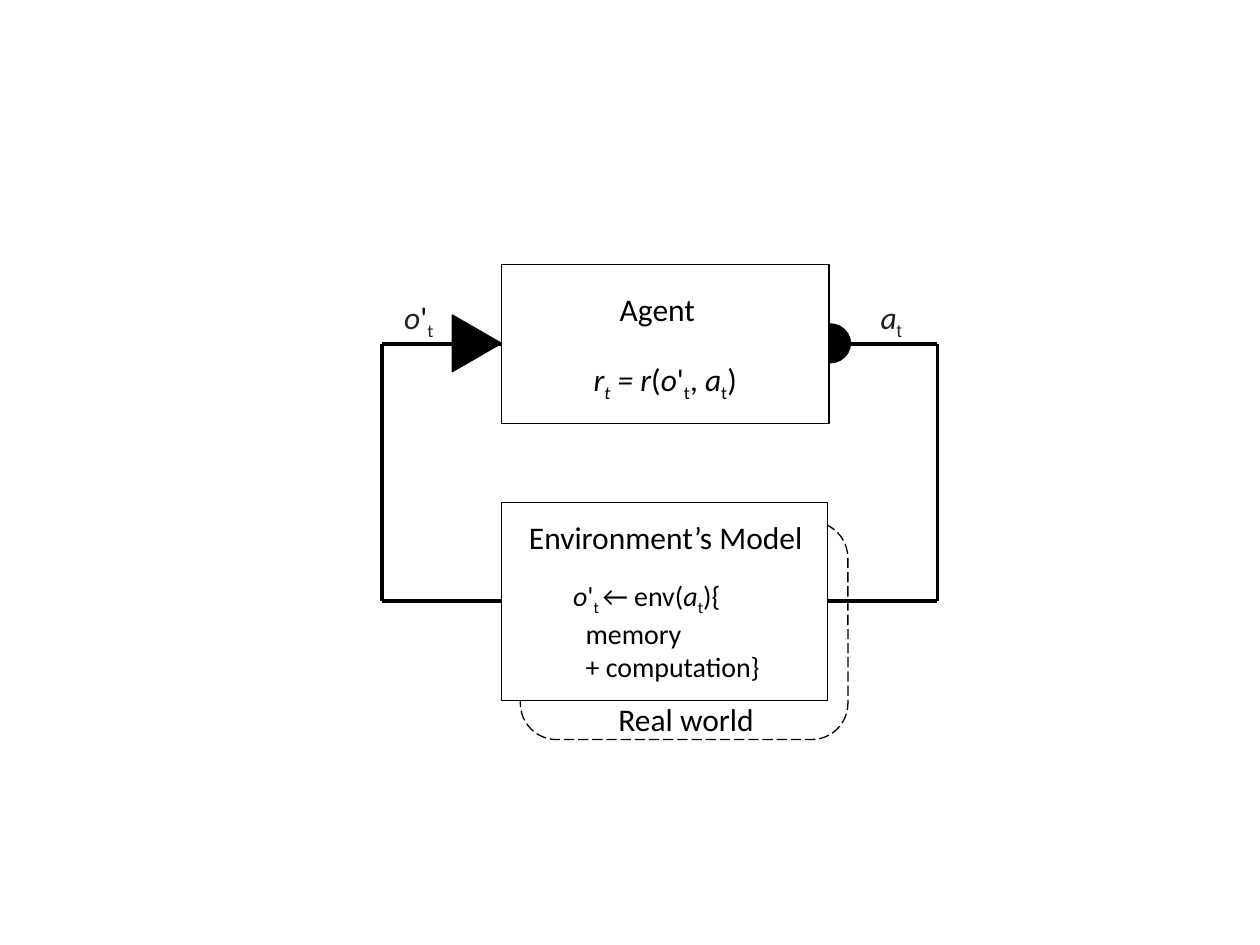
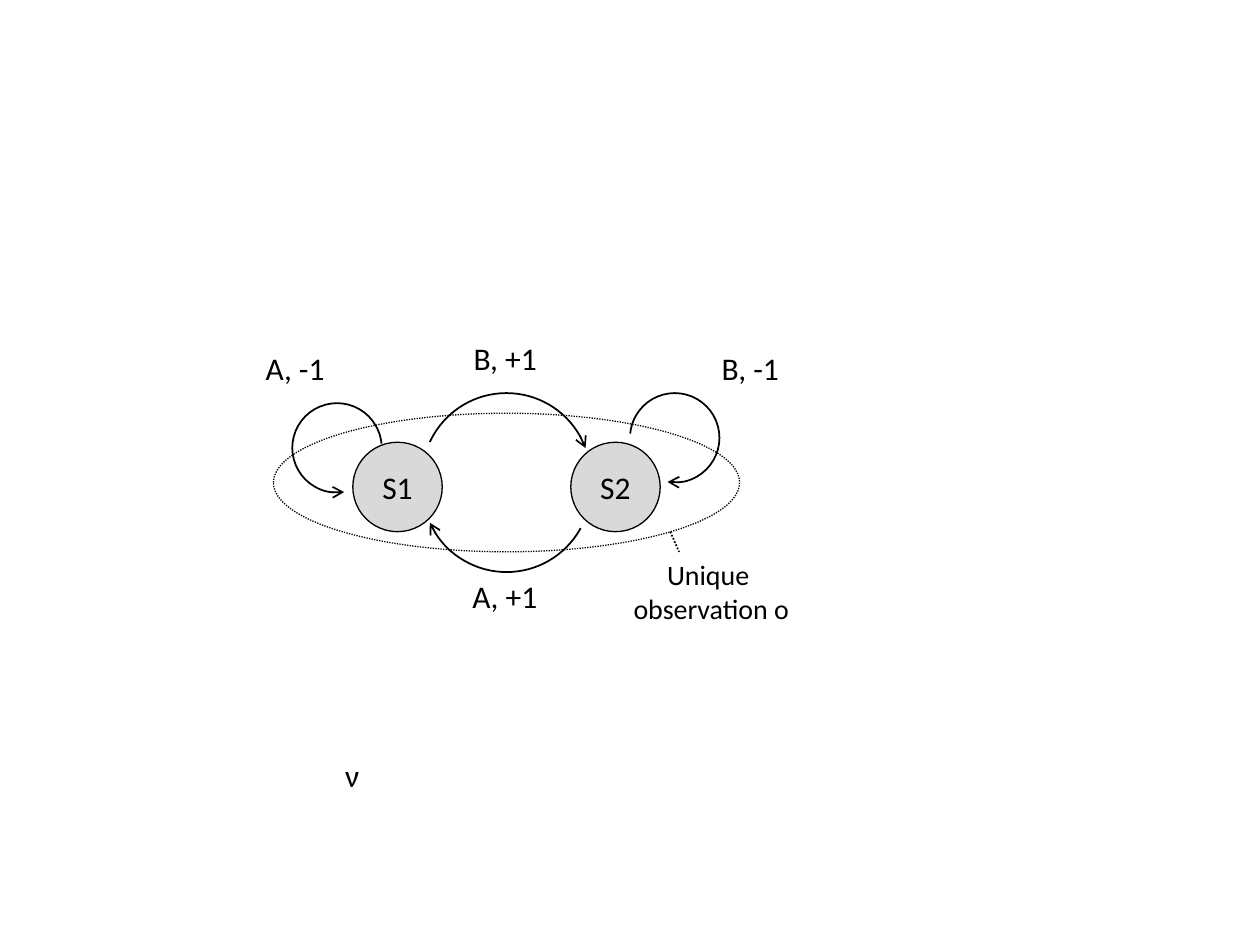
from lxml import etree
from pptx import Presentation
from pptx import util as u
from pptx.dml.color import RGBColor
from pptx.enum import dml, shapes, text
from pptx.oxml.ns import qn

HUES = {"ink": "000000", "soft": "231F20", "paper": "FFFFFF", "state": "D9D9D9"}
FACE = "Calibri"
KIND = shapes.MSO_SHAPE
LONG, DOT = dml.MSO_LINE.LONG_DASH, dml.MSO_LINE.ROUND_DOT
MARKS = {"i": {"italic": True}, "soft": {"hue": "soft"}, "sub": {"base": "-25000"},
         "arial": {"name": "Arial"}}

# Loop between agent and model
LEFT, RIGHT, TOP, LOW = 3.03, 7.44, 2.73, 4.77
BOX, EDGE = 3.98, 6.57
WIRES = [
    (RIGHT, TOP, EDGE, TOP), (EDGE, LOW, RIGHT, LOW), (BOX, TOP, LEFT, TOP),
    (LEFT, LOW, LEFT, TOP), (RIGHT, LOW, RIGHT, TOP), (LEFT, LOW, BOX, LOW),
]
WORLD = [
    (KIND.ROUNDED_RECTANGLE, (4.13, 4.14, 2.6, 1.73), {"fill": "paper", "dash": LONG}),
]
PARTS = [
    (KIND.OVAL, (6.42, 2.57, 0.33, 0.31), {"fill": "ink"}),
    (KIND.RECTANGLE, (BOX, 3.99, 2.59, 1.57), {"fill": "paper"}),
    (KIND.RECTANGLE, (BOX, 2.1, 2.6, 1.26), {"fill": "paper"}),
    (KIND.ISOSCELES_TRIANGLE, (3.56, 2.53, 0.45, 0.39), {"fill": "ink", "turn": 90}),
]
# A label is (place, paragraphs, format); a run is (words, marks)
SIGNALS = [
    ((6.89, 2.32, 0.41, 0.4), [[("a", "i soft"), ("t", "sub soft arial")]], {}),
    ((3.11, 2.32, 0.48, 0.4), [[("o", "i soft"), ("'", ""), ("t", "sub soft")]], {}),
]
REAL = [((4.81, 5.56, 1.29, 0.3), ["Real world"], {"pad": 0})]
NAMES = [
    ((4.1, 4.06, 2.4, 0.4), ["Environment’s Model"], {}),
    ((4.45, 4.54, 1.73, 0.94), [
        [("o", "i"), ("'", ""), ("t ", "sub"), ("← env(", ""), ("a", "i"),
         ("t", "sub"), ("){", "")],
        "memory", "+ computation}"], {"size": 16, "indent": 0.1}),
    ((4.53, 2.81, 1.5, 0.4), [
        [("r", "i"), ("t", "i sub"), (" = r", "i"), ("(", ""), ("o", "i"), ("'", ""),
         ("t", "sub"), (", ", ""), ("a", "i"), ("t", "sub"), (")", "")]],
     {"mid": True, "wrap": True}),
    ((4.82, 2.25, 0.81, 0.4), ["Agent"], {}),
]

# Two states seen as one observation
SIDE, WIDE = 0.71, 1.34
STATES = [("S1", 2.8), ("S2", 4.53)]
ROW = 3.51
ARCS = [  # place, start and end in degrees, format
    ((5, 3.12, SIDE, SIDE), (185.45, 99.2), {}),
    ((2.32, 3.2, SIDE, SIDE), (185.45, 99.2), {"flip": True}),
    ((3.35, 3.12, WIDE, WIDE), (204.79, 339.57), {}),
    ((3.35, 3.2, WIDE, WIDE), (208.68, 335.45), {"turn": 180}),
]
CLOUD = (2.17, 3.28, 3.7, 1.1)
POINTER = (5.32, 4.22, 5.39, 4.38)
MOVES = [
    ((5.63, 2.72, 0.66, 0.4), ["B, -1"], {}),
    ((2.01, 2.72, 0.67, 0.4), ["A, -1"], {}),
    ((3.66, 2.64, 0.71, 0.4), ["B, +1"], {}),
    ((3.65, 4.53, 0.72, 0.4), ["A, +1"], {}),
    ((4.92, 4.38, 1.45, 0.64), ["Unique ", "observation o"], {"size": 16, "mid": True}),
    ((2.64, 5.95, 0.33, 0.4), ["ν"], {}),
]


def inch(place):
    return [u.Inches(n) for n in place]


def tint(name):
    return RGBColor.from_string(HUES[name])


def paint(fill, name):
    if name:
        fill.solid()
        fill.fore_color.rgb = tint(name)
    else:
        fill.background()


def stroke(line, width, dash=None):
    paint(line.fill, "ink")
    line.width = u.Pt(width)
    if dash:
        line.dash_style = dash


def write(frame, paras, size=18, mid=False, indent=0):
    """Fill a frame; paragraphs after the first take the indent."""
    for k, runs in enumerate(paras):
        para = frame.paragraphs[0] if k == 0 else frame.add_paragraph()
        if k and indent:
            para._p.get_or_add_pPr().set("marL", str(u.Inches(indent)))
        para.alignment = text.PP_ALIGN.CENTER if mid else text.PP_ALIGN.LEFT
        for words, marks in [(runs, "")] if isinstance(runs, str) else runs:
            look = {"name": FACE, "size": u.Pt(size), "hue": "ink"}
            for mark in marks.split():
                look.update(MARKS[mark])
            run = para.add_run()
            run.text = words
            run.font.color.rgb = tint(look.pop("hue"))
            base = look.pop("base", None)
            for key, val in look.items():
                setattr(run.font, key, val)
            if base:
                run.font._element.set("baseline", base)


def label(slide, place, paras, fill=None, pad=0.05, wrap=False, **form):
    box = slide.shapes.add_textbox(*inch(place))
    paint(box.fill, fill)
    frame = box.text_frame
    looks = {"word_wrap": wrap, "auto_size": text.MSO_AUTO_SIZE.SHAPE_TO_FIT_TEXT,
             "margin_top": u.Inches(pad), "margin_bottom": u.Inches(pad)}
    for key, val in looks.items():
        setattr(frame, key, val)
    write(frame, paras, **form)


def form(slide, kind, place, fill=None, dash=None, width=0.75, turn=0):
    item = slide.shapes.add_shape(kind, *inch(place))
    item.shadow.inherit = False
    item.rotation = turn
    paint(item.fill, fill)
    stroke(item.line, width, dash)
    return item


def wire(slide, ends, width, dash=None):
    link = slide.shapes.add_connector(shapes.MSO_CONNECTOR.STRAIGHT, *inch(ends))
    stroke(link.line, width, dash)
    etree.SubElement(link._element.spPr, qn("a:effectLst"))


def arc(slide, place, angles, flip=False, turn=0):
    """Draw an open arc with an arrow at its end."""
    item = form(slide, KIND.ARC, place, width=1, turn=turn)
    for k, angle in enumerate(angles):
        item.adjustments[k] = angle * 0.6
    if flip:
        item._element.spPr.xfrm.set("flipH", "1")
    etree.SubElement(item.line._get_or_add_ln(), qn("a:tailEnd"), type="arrow")


def labels(slide, items, fill=None):
    for place, paras, look in items:
        label(slide, place, paras, fill, **look)


def forms(slide, items):
    for kind, place, look in items:
        form(slide, kind, place, **look)


def loop(slide):
    labels(slide, SIGNALS, "paper")
    forms(slide, WORLD)
    labels(slide, REAL, "paper")
    forms(slide, PARTS)
    for ends in WIRES:
        wire(slide, ends, 2)
    labels(slide, NAMES, "paper")


def states(slide):
    for name, left in STATES:
        disc = form(slide, KIND.OVAL, (left, ROW, SIDE, SIDE), "state")
        disc.text_frame.vertical_anchor = text.MSO_ANCHOR.MIDDLE
        write(disc.text_frame, [name], mid=True)
    for place, angles, look in ARCS:
        arc(slide, place, angles, **look)
    form(slide, KIND.OVAL, CLOUD, dash=DOT)
    labels(slide, MOVES)
    wire(slide, POINTER, 1, DOT)


def main():
    deck = Presentation()
    deck.slide_width, deck.slide_height = inch((10, 7.5))
    for draw in (loop, states):
        draw(deck.slides.add_slide(deck.slide_layouts[6]))
    deck.save("out.pptx")


if __name__ == "__main__":
    main()
